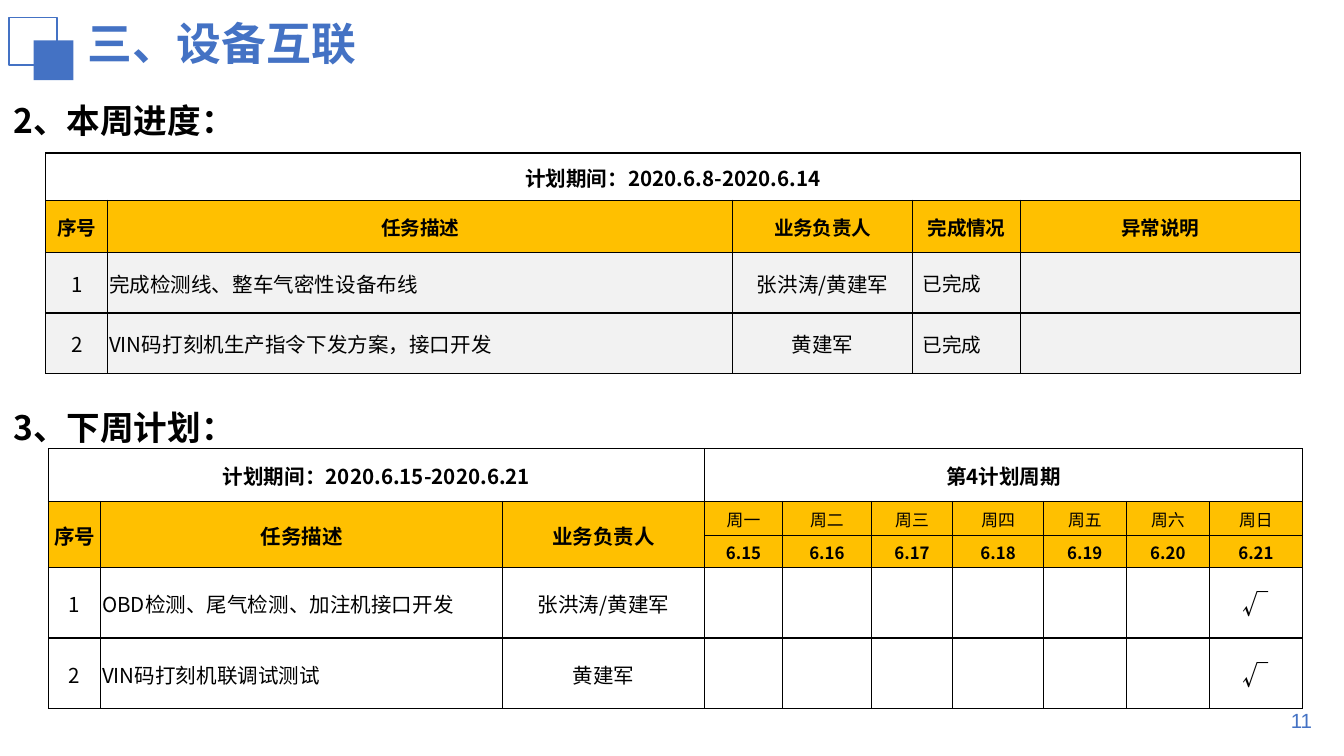
"""Build the weekly progress and plan page for equipment interconnection."""

from lxml.etree import SubElement
from pptx import Presentation
from pptx.dml.color import RGBColor
from pptx.enum.shapes import MSO_SHAPE
from pptx.enum.text import MSO_ANCHOR, MSO_AUTO_SIZE, PP_ALIGN
from pptx.oxml.ns import qn
from pptx.util import Pt

COLORS = {"blue": "4472C4", "black": "000000", "white": "FFFFFF",
          "amber": "FFC000", "gray": "F2F2F2"}
CJK = "Noto Sans CJK SC"


def color(name):
    return RGBColor.from_string(COLORS[name])


def write(frame, text, size=11, bold=False, ink="black", font=CJK,
          align=PP_ALIGN.LEFT, spacing=None):
    para = frame.paragraphs[0]
    para.alignment = align
    if spacing:
        para.line_spacing = spacing
    if not text:
        para._p.get_or_add_endParaRPr().set("sz", str(int(size * 100)))
        return
    span = para.add_run()
    span.text = text
    span.font.size = Pt(size)
    span.font.bold = bold
    span.font.name = font
    span.font.color.rgb = color(ink)
    SubElement(span.font._element, qn("a:ea"), typeface=font)


class PageBuilder:
    def __init__(self, page):
        self.page = page
        self.border = 0.75

    def title(self, text, left, top, width, height):
        box = self.page.shapes.title
        box.left, box.top, box.width, box.height = map(Pt, (left, top, width, height))
        box.text_frame.vertical_anchor = MSO_ANCHOR.TOP
        box.text_frame.auto_size = MSO_AUTO_SIZE.SHAPE_TO_FIT_TEXT
        write(box.text_frame, text, size=24, bold=True, ink="blue")

    def label(self, text, left, top, width, height, **style):
        box = self.page.shapes.add_textbox(*map(Pt, (left, top, width, height)))
        box.text_frame.word_wrap = True
        box.text_frame.vertical_anchor = MSO_ANCHOR.MIDDLE
        write(box.text_frame, text, **style)

    def heading(self, text, top):
        self.label(text, 0, top, 629.3, 40.3, size=18, bold=True, spacing=1.5)

    def emblem(self):
        group = self.page.shapes.add_group_shape()
        for left, top, side, filled in ((5, 9.4, 25.6, False), (18, 21.6, 21.3, True)):
            square = group.shapes.add_shape(
                MSO_SHAPE.RECTANGLE, *map(Pt, (left, top, side, side)))
            square.shadow.inherit = False
            if filled:
                square.fill.solid()
                square.fill.fore_color.rgb = color("blue")
                square.line.fill.background()
            else:
                square.fill.background()
                square.line.color.rgb = color("blue")
                square.line.width = Pt(1)

    def cell(self, cell, text, fill=None, inset=0.7, align=PP_ALIGN.CENTER, **style):
        cell.margin_left = cell.margin_right = Pt(inset)
        cell.margin_top = Pt(0.7)
        cell.margin_bottom = Pt(0)
        cell.vertical_anchor = MSO_ANCHOR.MIDDLE
        properties = cell._tc.get_or_add_tcPr()
        for side in ("L", "R", "T", "B"):
            line = SubElement(properties, qn(f"a:ln{side}"), w=str(Pt(self.border)))
            solid = SubElement(line, qn("a:solidFill"))
            SubElement(solid, qn("a:srgbClr"), val=COLORS["black"])
        if fill:
            cell.fill.solid()
            cell.fill.fore_color.rgb = color(fill)
        else:
            cell.fill.background()
        write(cell.text_frame, text, align=align, **style)

    def table(self, left, top, widths, heights, rows, merges, style_of):
        grid = self.page.shapes.add_table(
            len(heights), len(widths), Pt(left), Pt(top),
            Pt(sum(widths)), Pt(sum(heights))).table
        grid.first_row = grid.horz_banding = False
        for column, width in zip(grid.columns, widths):
            column.width = Pt(width)
        for row, height in zip(grid.rows, heights):
            row.height = Pt(height)
        for r, texts in enumerate(rows):
            for c, text in enumerate(texts):
                style = style_of(r, c)
                if not text:
                    style["size"] = 9
                self.cell(grid.cell(r, c), text, **style)
        for first, last in merges:
            grid.cell(*first).merge(grid.cell(*last))


def progress_style(row, column):
    if row == 0:
        return {"fill": "white", "bold": True}
    if row == 1:
        return {"fill": "amber", "bold": True, "size": 10.5}
    style = {"fill": "gray"}
    if column == 1:
        style["align"] = PP_ALIGN.LEFT
    if column == 3:
        style.update(align=PP_ALIGN.LEFT, inset=5.4, size=10.5)
    return style


def plan_style(row, column):
    if row == 0:
        return {"fill": "white", "bold": True}
    if row < 3:
        is_day = column > 2
        return {"fill": "amber", "size": 9 if is_day else 11,
                "bold": row == 2 or not is_day}
    if column == 1:
        return {"align": PP_ALIGN.LEFT}
    return {"size": 14 if column == 9 else 11}


def main():
    deck = Presentation()
    deck.slide_width, deck.slide_height = Pt(720), Pt(405)
    builder = PageBuilder(deck.slides.add_slide(deck.slide_layouts[5]))
    builder.title("三、设备互联", 39.6, 5, 326.2, 36)
    builder.label("11", 542.2, 375.1, 167.8, 21.6, size=11, ink="blue",
                  font="Arial", align=PP_ALIGN.RIGHT)
    builder.emblem()

    builder.heading("2、本周进度：", 38.9)
    builder.table(
        24.5, 82, [33.3, 334.8, 96.4, 57.8, 149.8], [25.2, 28, 32.5, 32.4],
        [["计划期间：2020.6.8-2020.6.14"] + [""] * 4,
         ["序号", "任务描述", "业务负责人", "完成情况", "异常说明"],
         ["1", "完成检测线、整车气密性设备布线", "张洪涛/黄建军", "已完成", ""],
         ["2", "VIN码打刻机生产指令下发方案，接口开发", "黄建军", "已完成", ""]],
        [((0, 0), (0, 4))], progress_style)

    days = [f"周{day}" for day in "一二三四五六日"]
    dates = [f"6.{day}" for day in range(15, 22)]
    last_day = [""] * 6 + ["√"]
    builder.table(
        26, 240.4, [28, 215.3, 108.2, 41.7, 47.6, 43.7, 48.5, 44.5, 44.5, 50],
        [28.2, 18.4, 17, 37.8, 38],
        [["计划期间：2020.6.15-2020.6.21", "", "", "第4计划周期"] + [""] * 6,
         ["序号", "任务描述", "业务负责人"] + days,
         [""] * 3 + dates,
         ["1", "OBD检测、尾气检测、加注机接口开发", "张洪涛/黄建军"] + last_day,
         ["2", "VIN码打刻机联调试测试", "黄建军"] + last_day],
        [((0, 0), (0, 2)), ((0, 3), (0, 9))]
        + [((1, column), (2, column)) for column in range(3)], plan_style)
    builder.heading("3、下周计划：", 203)
    deck.save("out.pptx")


if __name__ == "__main__":
    main()
